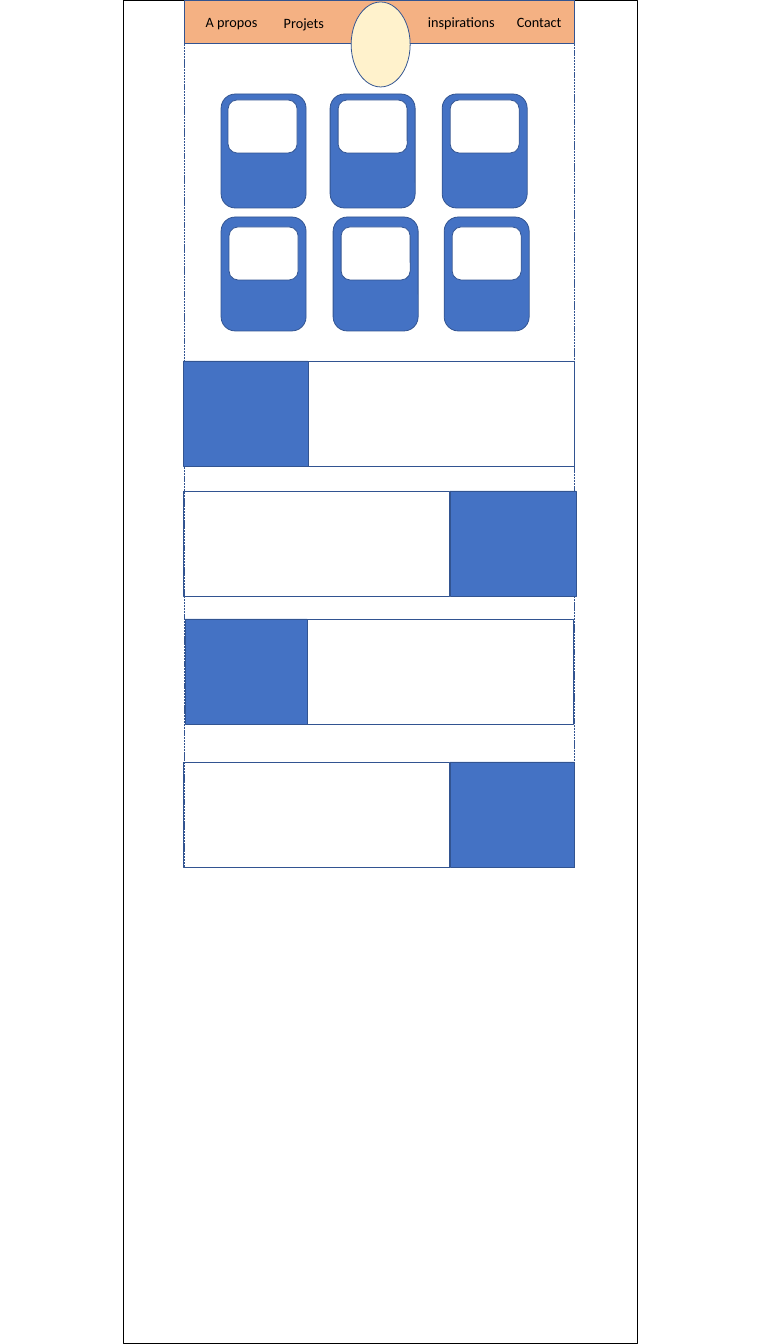
"""Build a portfolio page wireframe as one tall slide."""
from pptx import Presentation
from pptx import util as u
from pptx.dml.color import RGBColor
from pptx.enum import dml, shapes, text

PX = 914400 / 56.9
BLUE, EDGE, WHITE = "4472C4", "325491", "FFFFFF"
KIND = shapes.MSO_SHAPE
RECT, ROUND, OVAL = KIND.RECTANGLE, KIND.ROUNDED_RECTANGLE, KIND.OVAL

PAGE = (123, 0, 514, 1344)
MAIN = (184, 0, 390, 867)
HEADER = (184, 0, 390, 43)
LOGO = (351, 2, 59, 85)
MENU = [
    ("A propos", 200, 10, 64),
    ("Projets", 278, 11, 57),
    ("inspirations", 422, 10, 79),
    ("Contact", 511, 10, 56),
]
CARDS = [
    (94, 100, [(221, 228), (330, 338), (442, 450)]),
    (217, 227, [(221, 229), (333, 341), (444, 452)]),
]
CARD, SCREEN = (85, 114), (69, 53)
BANDS = [
    (361, (183, 125), (308, 266)),
    (491, (450, 126), (183, 266)),
    (619, (185, 122), (307, 266)),
    (762, (450, 124), (183, 266)),
]
TALL = 105


def color(code):
    return RGBColor.from_string(code)


def place(box):
    return [round(n * PX) for n in box]


def draw(kind, box, fill=None, edge=EDGE):
    shape = slide.shapes.add_shape(kind, *place(box))
    shape.shadow.inherit = False
    if fill:
        shape.fill.solid()
        shape.fill.fore_color.rgb = color(fill)
    else:
        shape.fill.background()
    shape.line.color.rgb = color(edge)
    shape.line.width = u.Pt(1)
    return shape


def label(words, x, y, wide):
    box = slide.shapes.add_textbox(*place((x, y, wide, 23)))
    frame = box.text_frame
    frame.word_wrap = False
    frame.auto_size = text.MSO_AUTO_SIZE.SHAPE_TO_FIT_TEXT
    para = frame.paragraphs[0]
    para.alignment = text.PP_ALIGN.LEFT
    run = para.add_run()
    run.text = words
    run.font.name = "Calibri"
    run.font.size = u.Pt(18)
    run.font.color.rgb = color("000000")


deck = Presentation()
deck.slide_width, deck.slide_height = u.Emu(12192000), u.Cm(60)
slide = deck.slides.add_slide(deck.slide_layouts[6])

draw(RECT, PAGE, edge="000000")
draw(RECT, MAIN).line.dash_style = dml.MSO_LINE.SQUARE_DOT

for top, inner, cols in CARDS:
    for left, _ in cols:
        draw(ROUND, (left, top, *CARD), BLUE)
for top, inner, cols in CARDS:
    for _, inset in cols:
        draw(ROUND, (inset, inner, *SCREEN), WHITE)

draw(RECT, HEADER, "F4B183")
draw(OVAL, LOGO, "FFF2CC")
for item in MENU:
    label(*item)

for top, image, blurb in BANDS:
    for (left, wide), fill in ((image, BLUE), (blurb, None)):
        draw(RECT, (left, top, wide, TALL), fill)

deck.save("out.pptx")
